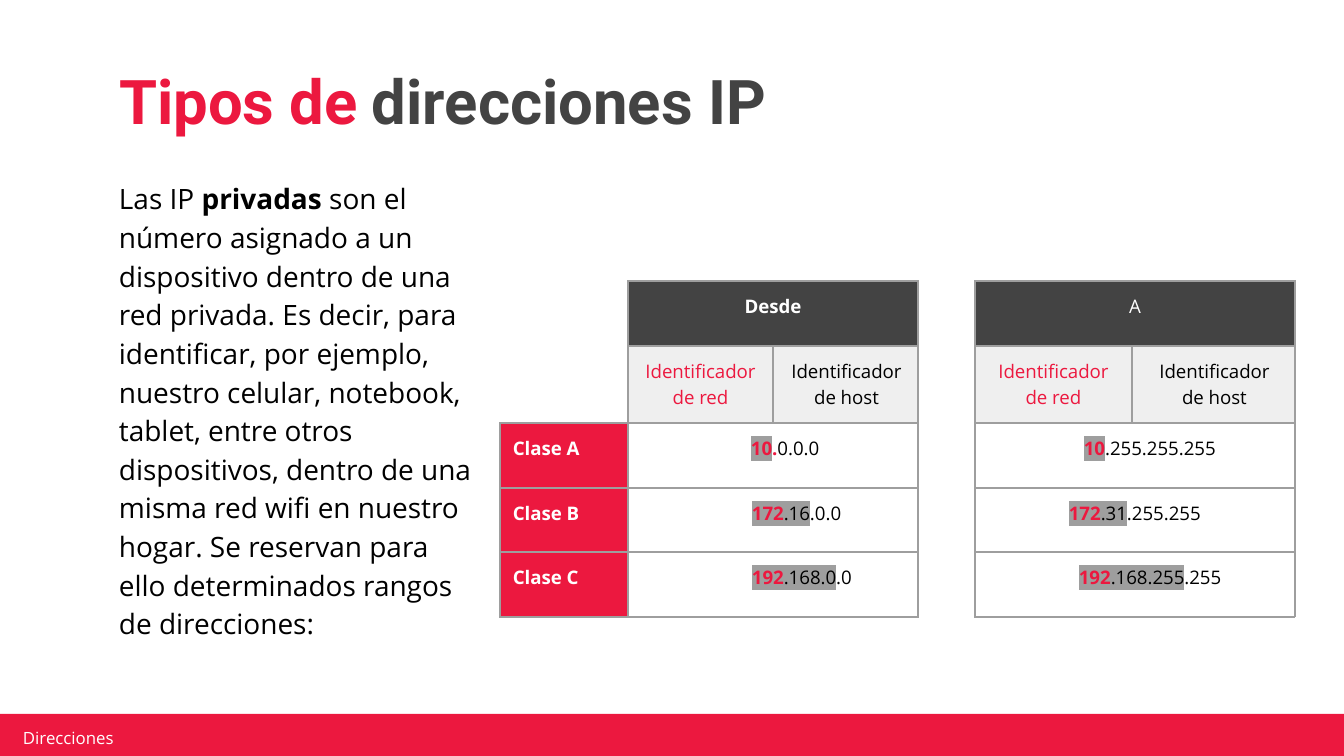
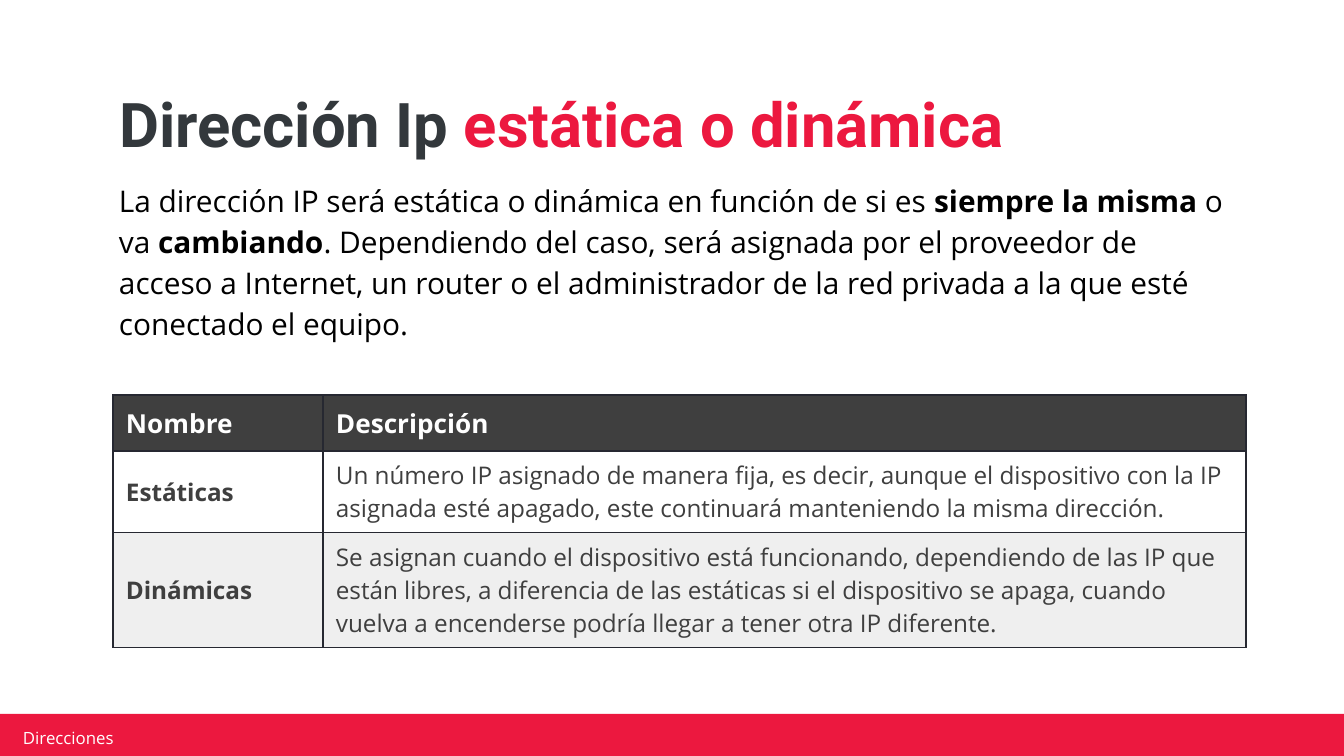
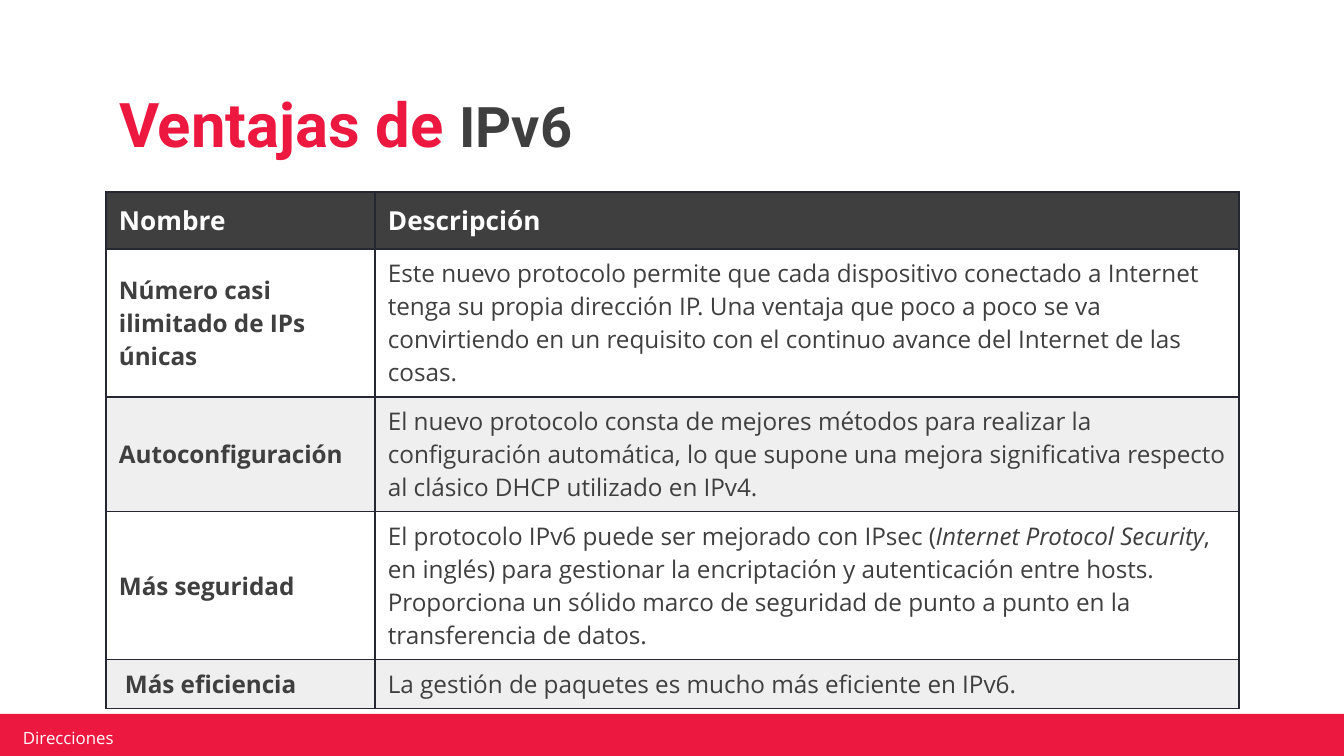
from collections import namedtuple
from dataclasses import dataclass

from pptx import Presentation
from pptx.dml.color import RGBColor as Rgb
from pptx.enum.shapes import MSO_SHAPE as Form
from pptx.enum.text import MSO_ANCHOR as Anchor, MSO_AUTO_SIZE as Fit, PP_ALIGN as Align
from pptx.oxml import parse_xml
from pptx.oxml.ns import nsdecls, qn
from pptx.util import Emu, Pt

Box = namedtuple("Box", "x y w h")


@dataclass(frozen=True)
class Theme:
    red: str = "EC183F"
    white: str = "FFFFFF"
    black: str = "000000"
    slate: str = "434343"
    ink: str = "3F3F3F"
    navy: str = "33383C"
    pale: str = "EFEFEF"
    gray: str = "9E9E9E"
    rule: str = "262831"
    head: str = "Roboto"
    body: str = "Open Sans"
    title: int = 33
    minor: int = 30
    lead: int = 16
    text: int = 15
    top: int = 14
    row: int = 13
    small: int = 10
    foot: int = 9
    plain: str = "{2D5ABB26-0587-4C30-8999-92F81FD0307C}"


T = Theme()
SCALE = 914400 / 134.4
WIDE, HIGH = 1344, 756
PAD = 13


@dataclass
class Bit:
    text: str
    color: str = T.black
    bold: bool = False
    size: int = 0
    mark: bool = False
    slant: bool = False


@dataclass
class Cell:
    bits: tuple = ()
    fill: str = ""
    align: int = Align.LEFT
    lead: int = PAD
    span: int = 1
    edges: str = "LRTB"


def px(count):
    return Emu(round(count * SCALE))


def place(shape, box):
    shape.left, shape.top, shape.width, shape.height = map(px, box)


def write(para, bits, size, face=T.body):
    para.text = bits[0].text
    for bit in bits[1:]:
        para.add_run().text = bit.text
    for run, bit in zip(para.runs, bits):
        font = run.font
        font.name, font.size = face, Pt(bit.size or size)
        font.bold, font.italic = bit.bold, bit.slant
        font.color.rgb = Rgb.from_string(bit.color)
        if bit.mark:
            run._r.rPr.find(qn("a:solidFill")).addnext(parse_xml(
                f'<a:highlight {nsdecls("a")}><a:srgbClr val="{T.gray}"/></a:highlight>'))


def inset(item, side, edge):
    item.margin_left = item.margin_right = px(side)
    item.margin_top = item.margin_bottom = px(edge)


def fill_text(shape, box, bits, size, face=T.body, anchor=Anchor.TOP, side=PAD, edge=PAD):
    place(shape, box)
    frame = shape.text_frame
    frame.word_wrap, frame.auto_size = True, Fit.NONE
    frame.vertical_anchor = anchor
    inset(frame, side, edge)
    para = frame.paragraphs[0]
    write(para, bits, size, face)
    para.alignment = Align.LEFT
    return para


def footer(slide, layout, box):
    for holder in list(layout.placeholders):
        if holder.placeholder_format.idx >= 10:
            holder.element.getparent().remove(holder.element)
    band = slide.shapes.add_shape(Form.RECTANGLE, *map(px, box))
    band.shadow.inherit = False
    band.fill.solid()
    band.fill.fore_color.rgb = Rgb.from_string(T.red)
    band.line.fill.background()
    spot = Box(box.x + 19, box.y + 14, 321, 20)
    label = slide.shapes.add_textbox(*map(px, spot))
    fill_text(label, spot, [Bit("Direcciones", T.white)], T.foot,
              anchor=Anchor.MIDDLE, side=7, edge=3)
    for shape in (band, label):
        layout.shapes.element.append(shape.element)


def title(slide, box, *bits):
    fill_text(slide.shapes.title, box, bits, T.title, T.head, Anchor.BOTTOM)


def body(slide, box, size, *bits):
    shape = slide.shapes.add_textbox(*map(px, box))
    para = fill_text(shape, box, bits, size)
    para.line_spacing = 1.15


def border(cell, edges, color):
    props = cell._tc.get_or_add_tcPr()
    for spot, edge in enumerate(edges):
        props.insert(spot, parse_xml(
            f'<a:ln{edge} {nsdecls("a")} w="9525"><a:solidFill>'
            f'<a:srgbClr val="{color}"/></a:solidFill></a:ln{edge}>'))


def grid(slide, x, y, cols, rows, cells, size, rule, anchor, edge):
    box = Box(x, y, sum(cols), sum(rows))
    frame = slide.shapes.add_table(len(rows), len(cols), *map(px, box))
    for style in frame.element.iter(qn("a:tableStyleId")):
        style.text = T.plain
    table = frame.table
    table.first_row = table.horz_banding = False
    for col, wide in zip(table.columns, cols):
        col.width = px(wide)
    for row, high in zip(table.rows, rows):
        row.height = px(high)
    for r, line in enumerate(cells):
        for c, spec in enumerate(line):
            cell = table.cell(r, c)
            border(cell, spec.edges if spec else "LRTB", rule)
            if spec is None:
                continue
            if spec.span > 1:
                cell.merge(table.cell(r, c + spec.span - 1))
            if spec.fill:
                cell.fill.solid()
                cell.fill.fore_color.rgb = Rgb.from_string(spec.fill)
            else:
                cell.fill.background()
            if spec.bits:
                inset(cell, PAD, edge)
                cell.margin_left = px(spec.lead)
                cell.vertical_anchor = anchor
                para = cell.text_frame.paragraphs[0]
                write(para, spec.bits, size)
                para.alignment = spec.align


def range_head(name, bold):
    return [Cell((Bit(name, T.white, bold),), T.slate, Align.CENTER, span=2), None]


def range_ids():
    return [Cell((Bit(f"Identificador de {part}", color),), T.pale, Align.CENTER, lead)
            for part, color, lead in (("red", T.red, PAD), ("host", T.black, PAD + 2))]


def span(lead, net, *rest):
    return [Cell((Bit(net, T.red, True, mark=True), *rest), lead=lead, span=2), None]


def marked(text):
    return Bit(text, mark=True)


def ranges(slide, x, y):
    gap = Cell(edges="LR")
    pairs = [
        ("A", span(123, "10", Bit(".", T.red, True), Bit("0.0.0")),
         span(109, "10", Bit(".255.255.255"))),
        ("B", span(124, "172", marked(".16"), Bit(".0.0")),
         span(94, "172", marked(".31"), Bit(".255.255"))),
        ("C", span(124, "192", marked(".168.0"), Bit(".0")),
         span(104, "192", marked(".168.255"), Bit(".255"))),
    ]
    cells = [
        [Cell(edges="R"), *range_head("Desde", True), gap, *range_head("A", False)],
        [Cell(edges="RB"), *range_ids(), gap, *range_ids()],
    ]
    for name, start, end in pairs:
        label = Cell((Bit(f"Clase {name}", T.white, True),), T.red)
        cells.append([label, *start, gap, *end])
    grid(slide, x, y, [128, 145, 145, 57, 157, 163], [65, 77, 65, 64, 65],
         cells, T.small, T.gray, Anchor.TOP, PAD)


def terms(slide, x, y, cols, rows, items):
    cells = [[Cell((Bit(name, T.white, True, T.top),), T.ink)
              for name in ("Nombre", "Descripción")]]
    for i, (name, lead, *bits) in enumerate(items):
        fill = T.pale if i % 2 else ""
        cells.append([Cell((Bit(name, T.ink, True),), fill, lead=lead),
                      Cell(tuple(bits), fill)])
    grid(slide, x, y, cols, rows, cells, T.row, T.rule, Anchor.MIDDLE, 8)


def types(slide):
    title(slide, Box(106, 57, 1133, 93), Bit("Tipos de", T.red, True),
          Bit(" ", T.ink, True, T.minor), Bit("direcciones IP", T.slate, True))
    body(slide, Box(106, 164, 387, 532), T.text,
         Bit("Las IP "), Bit("privadas", bold=True),
         Bit(" son el número asignado a un dispositivo dentro de una red privada. "
             "Es decir, para identificar, por ejemplo, nuestro celular, notebook, "
             "tablet, entre otros dispositivos, dentro de una misma red wifi en nuestro "
             "hogar. Se reservan para ello determinados rangos de direcciones:"))
    ranges(slide, 500, 281)


def modes(slide):
    title(slide, Box(106, 80, 1133, 93), Bit("Dirección Ip", T.navy, True),
          Bit(" estática o dinámica", T.red, True))
    terms(slide, 113, 395, [210, 923], [56, 81, 115], [
        ("Estáticas", PAD,
         Bit("Un número IP asignado de manera fija, es decir, aunque el dispositivo "
             "con la IP asignada esté apagado, este continuará manteniendo la misma "
             "dirección.", T.ink)),
        ("Dinámicas", PAD,
         Bit("Se asignan cuando el dispositivo está funcionando, dependiendo de las IP "
             "que están libres, a diferencia de las estáticas si el dispositivo se "
             "apaga, cuando vuelva a encenderse podría llegar a tener otra IP "
             "diferente.", T.ink)),
    ])
    body(slide, Box(106, 164, 1146, 142), T.lead,
         Bit("La dirección IP será estática o dinámica en función de si es "),
         Bit("siempre la misma", bold=True), Bit(" o va "), Bit("cambiando", bold=True),
         Bit(". Dependiendo del caso, será asignada por el proveedor de acceso a "
             "Internet, un router o el administrador de la red privada a la que esté "
             "conectado el equipo."))


def gains(slide):
    title(slide, Box(106, 80, 1133, 93), Bit("Ventajas de ", T.red, True),
          Bit("IPv6", T.ink, True, T.minor))
    terms(slide, 106, 192, [269, 864], [57, 148, 114, 148, 49], [
        ("Número casi ilimitado de IPs únicas", PAD,
         Bit("Este nuevo protocolo permite que cada dispositivo conectado a Internet "
             "tenga su propia dirección IP. Una ventaja que poco a poco se va "
             "convirtiendo en un requisito con el continuo avance del Internet de las "
             "cosas.", T.ink)),
        ("Autoconfiguración", PAD,
         Bit("El nuevo protocolo consta de mejores métodos para realizar la "
             "configuración automática, lo que supone una mejora significativa "
             "respecto al clásico DHCP utilizado en IPv4.", T.ink)),
        ("Más seguridad", PAD,
         Bit("El protocolo IPv6 puede ser mejorado con IPsec (", T.ink),
         Bit("Internet Protocol Security", T.ink, slant=True),
         Bit(", en inglés) para gestionar la encriptación y autenticación entre hosts. "
             "Proporciona un sólido marco de seguridad de punto a punto en la "
             "transferencia de datos.", T.ink)),
        ("Más eficiencia", 19,
         Bit("La gestión de paquetes es mucho más eficiente en IPv6.", T.ink)),
    ])


def main():
    deck = Presentation()
    deck.slide_width, deck.slide_height = px(WIDE), px(HIGH)
    layout = deck.slide_layouts[5]
    for i, build in enumerate((types, modes, gains)):
        slide = deck.slides.add_slide(layout)
        if i == 0:
            footer(slide, layout, Box(-3, 714, 1348, 48))
        build(slide)
    deck.save("out.pptx")


if __name__ == "__main__":
    main()
